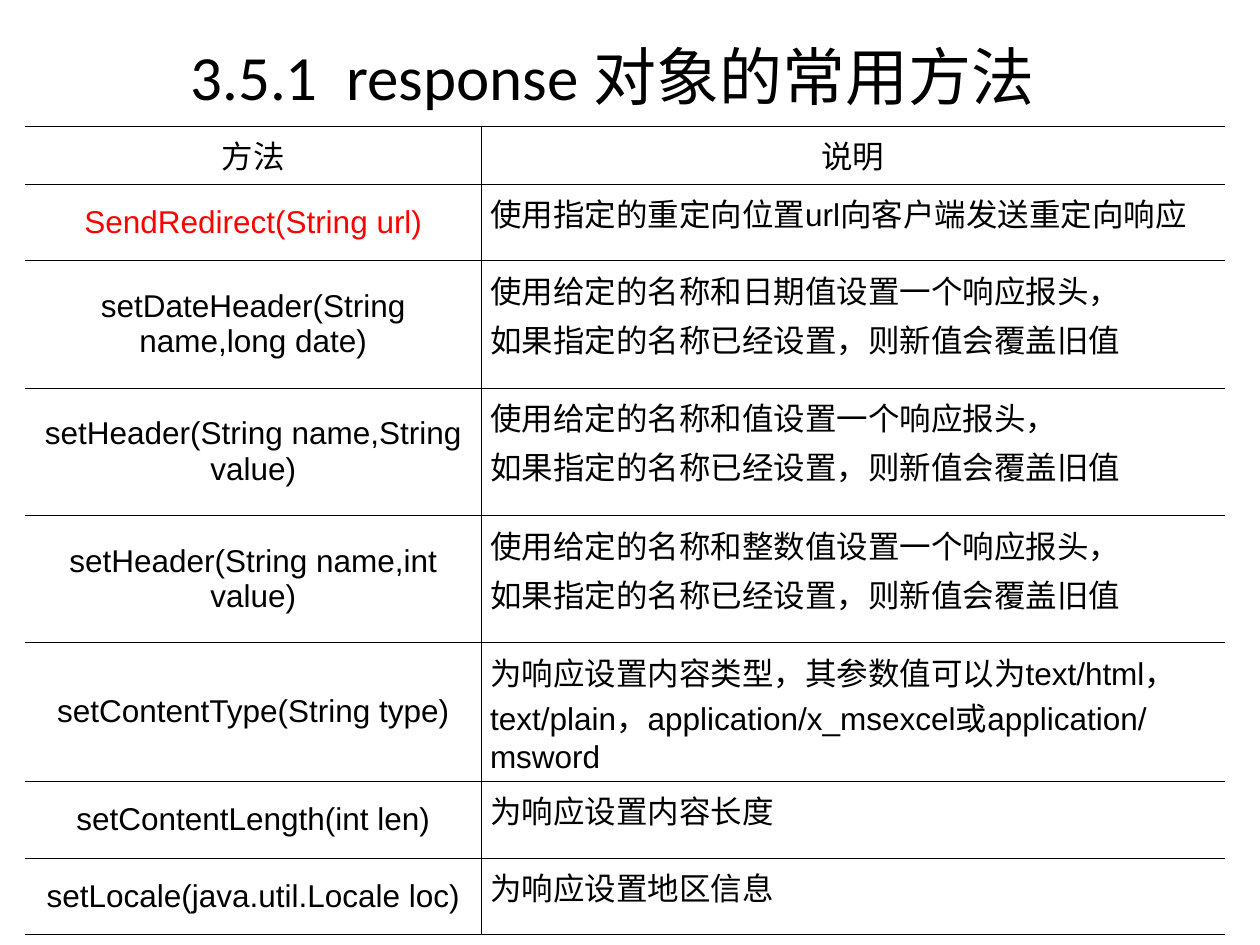
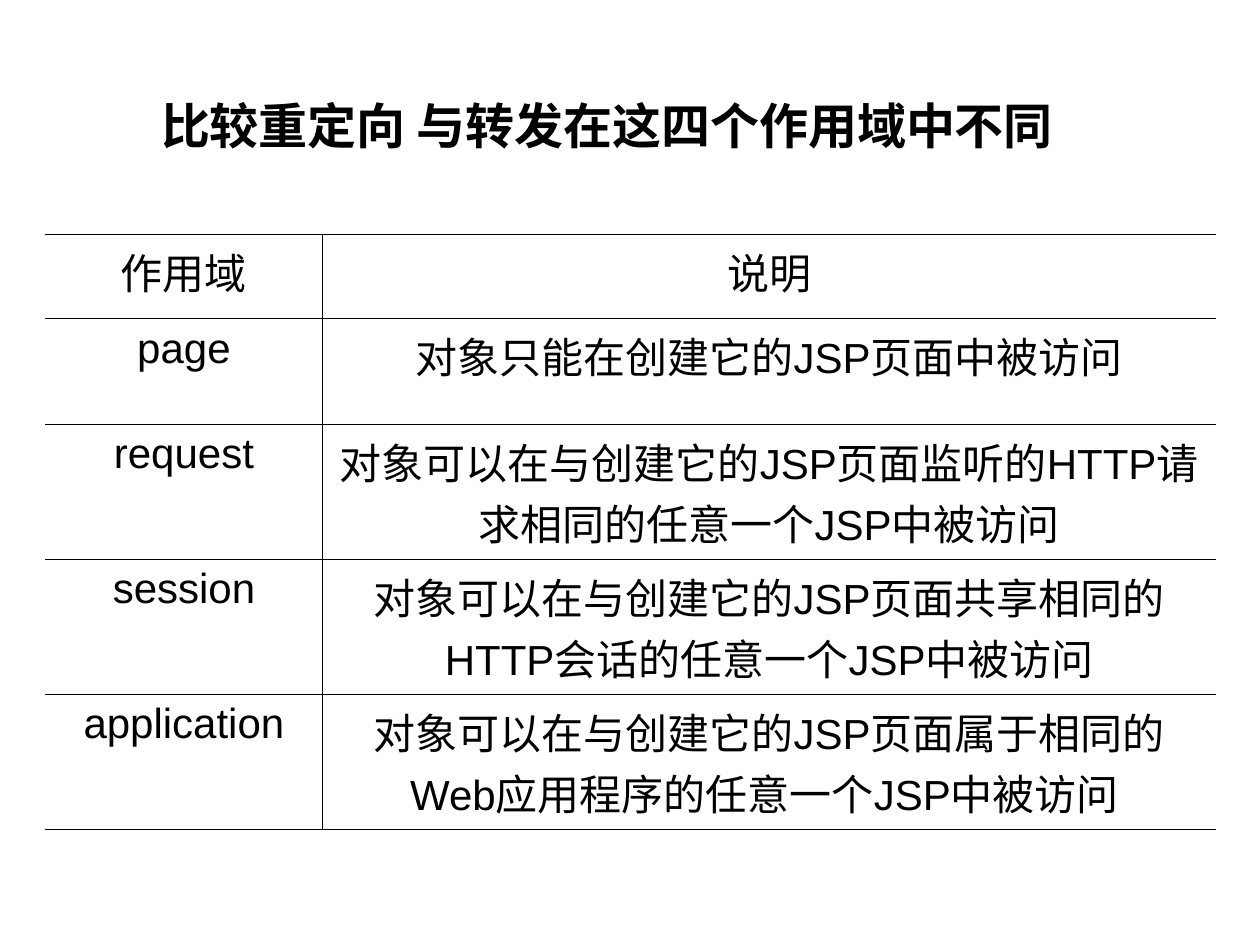
from dataclasses import dataclass

import pptx
import pptx.dml.color
import pptx.enum.text
import pptx.oxml
import pptx.oxml.ns
import pptx.util

Inches = pptx.util.Inches
Pt = pptx.util.Pt
RGB = pptx.dml.color.RGBColor
Align = pptx.enum.text.PP_ALIGN
Anchor = pptx.enum.text.MSO_ANCHOR


@dataclass(frozen=True)
class Theme:
    ink: RGB = RGB(0, 0, 0)
    accent: RGB = RGB(0xFF, 0, 0)
    title_font: str = "Calibri"
    body_font: str = "Arial"
    title_size: int = 36
    subtitle_size: int = 28
    methods_size: int = 18
    scopes_size: int = 24
    rule_width: float = 0.45
    spacing: int = 1


THEME = Theme()


@dataclass(frozen=True)
class Title:
    text: str
    box: tuple[float, float, float, float]
    size: int
    bold: bool = False
    align: Align = Align.CENTER


@dataclass(frozen=True)
class Grid:
    left: float
    top: float
    cols: tuple[float, ...]
    heights: tuple[float, ...]
    rows: tuple[tuple[str, str], ...]
    size: int
    name_anchor: Anchor
    text_align: Align
    side_margin: float = 0.07
    accent_name: str = ""


OVERWRITE = "如果指定的名称已经设置，则新值会覆盖旧值"

METHODS_TITLE = Title("3.5.1  response 对象的常用方法", (0.36, 0.2, 9, 0.79), THEME.title_size)
METHODS = Grid(
    left=0.2, top=1, cols=(3.62, 5.9),
    heights=(0.46, 0.61, *[1.01] * 3, 1.1, 0.61, 0.61),
    rows=(
        ("方法", "说明"),
        ("SendRedirect(String url)", "使用指定的重定向位置url向客户端发送重定向响应"),
        ("setDateHeader(String name,long date)",
         f"使用给定的名称和日期值设置一个响应报头，\n{OVERWRITE}"),
        ("setHeader(String name,String value)",
         f"使用给定的名称和值设置一个响应报头，\n{OVERWRITE}"),
        ("setHeader(String name,int value)",
         f"使用给定的名称和整数值设置一个响应报头，\n{OVERWRITE}"),
        ("setContentType(String type)",
         "为响应设置内容类型，其参数值可以为text/html，text/plain，"
         "application/x_msexcel或application/msword"),
        ("setContentLength(int len)", "为响应设置内容长度"),
        ("setLocale(java.util.Locale loc)", "为响应设置地区信息"),
    ),
    size=THEME.methods_size, name_anchor=Anchor.MIDDLE, text_align=Align.LEFT,
    accent_name="SendRedirect(String url)",
)

SCOPES_TITLE = Title("比较重定向 与转发在这四个作用域中不同", (1.18, 0.71, 7.34, 0.57),
                     THEME.subtitle_size, bold=True, align=Align.LEFT)
SCOPES = Grid(
    left=0.36, top=1.86, cols=(2.2, 7.09), heights=(0.67, 0.84, *[1.07] * 3),
    rows=(
        ("作用域", "说明"),
        ("page", "对象只能在创建它的JSP页面中被访问"),
        ("request", "对象可以在与创建它的JSP页面监听的HTTP请求相同的任意一个JSP中被访问"),
        ("session", "对象可以在与创建它的JSP页面共享相同的HTTP会话的任意一个JSP中被访问"),
        ("application", "对象可以在与创建它的JSP页面属于相同的Web应用程序的任意一个JSP中被访问 "),
    ),
    size=THEME.scopes_size, name_anchor=Anchor.TOP, text_align=Align.CENTER,
)


def add_run(p, text: str, font: str, size: int, color: RGB, bold: bool = False) -> None:
    r = p.add_run()
    r.text = text
    r.font.name = font
    r.font.size = Pt(size)
    r.font.bold = bold
    r.font.color.rgb = color


def add_title(slide, title: Title) -> None:
    sp = slide.shapes.add_textbox(*map(Inches, title.box))
    tf = sp.text_frame
    tf.word_wrap = True
    tf.vertical_anchor = Anchor.MIDDLE
    p = tf.paragraphs[0]
    p.alignment = title.align
    add_run(p, title.text, THEME.title_font, title.size, THEME.ink, title.bold)


def set_borders(cell, ruled: str) -> None:
    ns = pptx.oxml.ns.nsdecls("a")
    tc_pr = cell._tc.get_or_add_tcPr()
    for side in "LRTB":
        paint = (f'<a:solidFill><a:srgbClr val="{THEME.ink}"/></a:solidFill>'
                 if side in ruled else "<a:noFill/>")
        tc_pr.append(pptx.oxml.parse_xml(
            f'<a:ln{side} {ns} w="{Pt(THEME.rule_width)}">{paint}</a:ln{side}>'))


def fill_cell(cell, text: str, grid: Grid, align: Align, anchor: Anchor, ruled: str) -> None:
    set_borders(cell, ruled)
    cell.fill.background()
    cell.margin_left = cell.margin_right = Inches(grid.side_margin)
    cell.margin_top = cell.margin_bottom = Inches(0.05)
    cell.vertical_anchor = anchor
    color = THEME.accent if text == grid.accent_name else THEME.ink
    tf = cell.text_frame
    for i, line in enumerate(text.split("\n")):
        p = tf.add_paragraph() if i else tf.paragraphs[0]
        p.alignment = align
        p.space_before = p.space_after = Pt(THEME.spacing)
        add_run(p, line, THEME.body_font, grid.size, color)


def add_grid(slide, grid: Grid) -> None:
    table = slide.shapes.add_table(
        len(grid.rows), len(grid.cols), Inches(grid.left), Inches(grid.top),
        Inches(sum(grid.cols)), Inches(sum(grid.heights))).table
    table.first_row = table.horz_banding = False
    for col, width in zip(table.columns, grid.cols):
        col.width = Inches(width)
    for i, (name, text) in enumerate(grid.rows):
        table.rows[i].height = Inches(grid.heights[i])
        fill_cell(table.cell(i, 0), name, grid, Align.CENTER, grid.name_anchor, "RTB")
        align = grid.text_align if i else Align.CENTER
        fill_cell(table.cell(i, 1), text, grid, align, Anchor.TOP, "LTB")


def main() -> None:
    prs = pptx.Presentation()
    prs.slide_width, prs.slide_height = Inches(10), Inches(7.5)
    for title, grid in ((METHODS_TITLE, METHODS), (SCOPES_TITLE, SCOPES)):
        slide = prs.slides.add_slide(prs.slide_layouts[6])
        add_title(slide, title)
        add_grid(slide, grid)
    prs.save("out.pptx")


if __name__ == "__main__":
    main()
